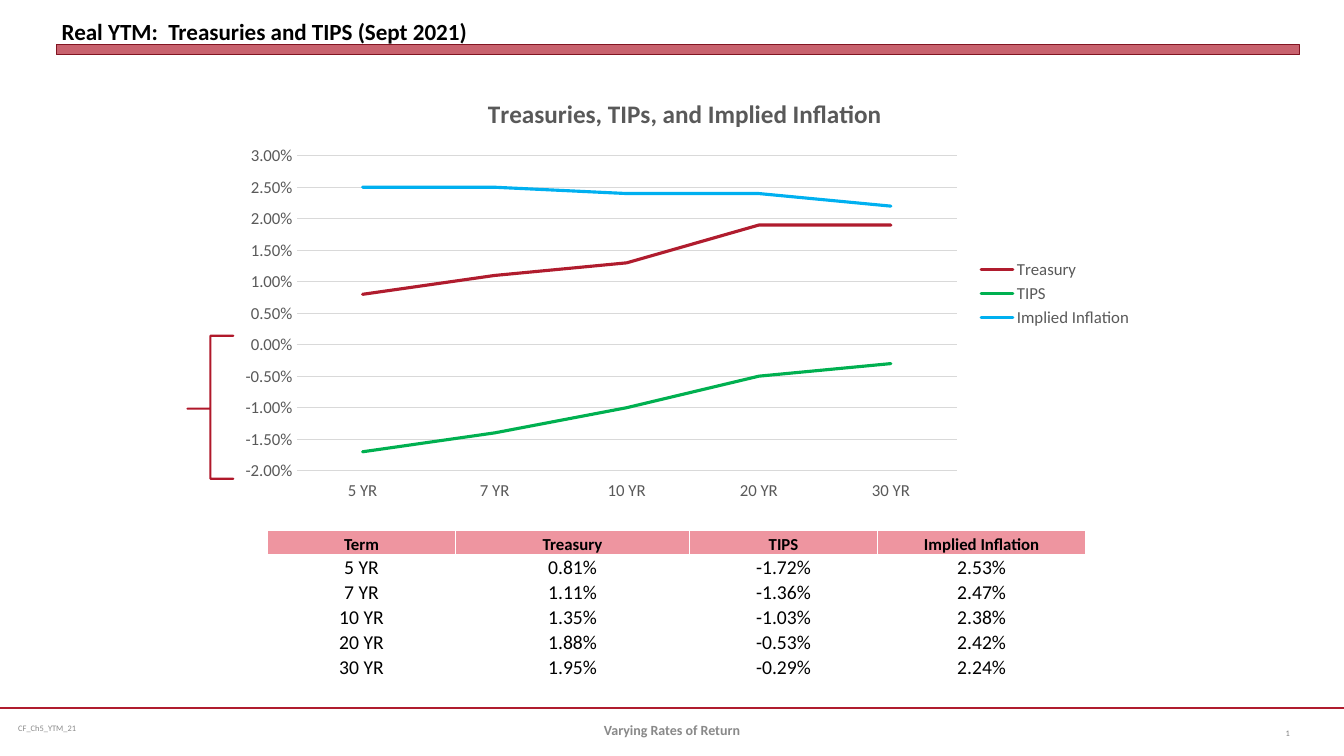
from lxml import etree
from pptx import Presentation
from pptx.chart.data import CategoryChartData
from pptx.dml.color import RGBColor
from pptx.enum.chart import XL_CHART_TYPE, XL_LEGEND_POSITION, XL_TICK_LABEL_POSITION, XL_TICK_MARK
from pptx.enum.shapes import MSO_CONNECTOR, MSO_SHAPE
from pptx.enum.text import MSO_ANCHOR, PP_ALIGN
from pptx.oxml import parse_xml
from pptx.oxml.ns import nsdecls, qn
from pptx.util import Pt

FONT = "Calibri"
BLACK = RGBColor(0x00, 0x00, 0x00)
WHITE = RGBColor(0xFF, 0xFF, 0xFF)
CRIMSON = RGBColor(0xB0, 0x1C, 0x2E)
DARK_RED = RGBColor(0x82, 0x15, 0x22)
BRACE_RED = RGBColor(0xB0, 0x18, 0x2A)
PINK = RGBColor(0xEE, 0x95, 0xA0)
GREEN = RGBColor(0x00, 0xB0, 0x50)
SKY = RGBColor(0x00, 0xB0, 0xF0)
FOOTER_GRAY = RGBColor(0x89, 0x89, 0x89)
NUMBER_GRAY = RGBColor(0x80, 0x80, 0x80)
CHART_GRAY = RGBColor(0x59, 0x59, 0x59)
GRID_GRAY = RGBColor(0xD9, 0xD9, 0xD9)

TERMS = ["5 YR", "7 YR", "10 YR", "20 YR", "30 YR"]
# Line colour and yields by term
YIELDS = {
    "Treasury": (CRIMSON, [0.0081, 0.0111, 0.0135, 0.0188, 0.0195]),
    "TIPS": (GREEN, [-0.0172, -0.0136, -0.0103, -0.0053, -0.0029]),
    "Implied Inflation": (SKY, [0.0253, 0.0247, 0.0238, 0.0242, 0.0224]),
}


def style_font(font, size, color, bold=False):
    font.name, font.size, font.bold = FONT, Pt(size), bold
    font.color.rgb = color


def write(frame, text, size, color=BLACK, bold=False, align=PP_ALIGN.LEFT):
    paragraph = frame.paragraphs[0]
    paragraph.alignment = align
    run = paragraph.add_run()
    run.text = text
    style_font(run.font, size, color, bold)


def add_text(slide, box, text, anchor=MSO_ANCHOR.MIDDLE, margins=(7.2, 3.6, 7.2, 3.6), **style):
    frame = slide.shapes.add_textbox(*map(Pt, box)).text_frame
    frame.word_wrap = True
    frame.vertical_anchor = anchor
    (frame.margin_left, frame.margin_top,
     frame.margin_right, frame.margin_bottom) = map(Pt, margins)
    write(frame, text, **style)


def add_header(slide, left, top, width, height):
    # Translucent bar under the title
    bar = slide.shapes.add_shape(MSO_SHAPE.RECTANGLE, Pt(left), Pt(top + height), Pt(width), Pt(7.2))
    bar.shadow.inherit = False
    bar.fill.solid()
    bar.fill.fore_color.rgb = CRIMSON
    tint = bar.fill._xPr.find(qn("a:solidFill"))[0]
    etree.SubElement(tint, qn("a:alpha"), val="69000")
    bar.line.color.rgb = DARK_RED
    bar.line.width = Pt(0)
    add_text(slide, (left, top, width, height), "Real YTM:  Treasuries and TIPS (Sept 2021)",
             anchor=MSO_ANCHOR.BOTTOM, margins=(3.75, 0, 0, 0), size=16.5, bold=True)


def set_layout(element, chart_size, inner=False, **lengths):
    """Pin a chart part at lengths in points, inside a chart of the given size."""
    for old in element.findall(qn("c:layout")):
        element.remove(old)
    width, height = chart_size
    target = '<c:layoutTarget val="inner"/>' if inner else ""
    modes = "".join(f'<c:{axis}Mode val="edge"/>' for axis in "xy")
    values = "".join(f'<c:{key} val="{length / (width if key in "xw" else height)}"/>'
                     for key, length in lengths.items())
    layout = parse_xml(f'<c:layout {nsdecls("c")}><c:manualLayout>{target}{modes}{values}'
                       '</c:manualLayout></c:layout>')
    text = element.find(qn("c:tx"))
    element.insert(0 if text is None else 1, layout)


def add_yield_chart(slide, left, top, width, height):
    data = CategoryChartData(number_format="0.00%")
    data.categories = TERMS
    for name, (_, yields) in YIELDS.items():
        data.add_series(name, [round(value, 3) for value in yields])
    chart = slide.shapes.add_chart(XL_CHART_TYPE.LINE, Pt(left), Pt(top), Pt(width), Pt(height), data).chart
    style_font(chart.font, 12, CHART_GRAY)

    # Title and plot area
    chart.has_title = True
    write(chart.chart_title.text_frame, "Treasuries, TIPs, and Implied Inflation",
          size=18, color=CHART_GRAY, bold=True, align=PP_ALIGN.CENTER)
    chart.chart_title.include_in_layout = False
    set_layout(chart.chart_title._element, (width, height), x=183.3, y=10.4)
    set_layout(chart._chartSpace.chart.plotArea, (width, height), inner=True,
               x=49.8, y=55.9, w=471.8, h=225)

    # Legend
    chart.has_legend = True
    chart.legend.position = XL_LEGEND_POSITION.RIGHT
    chart.legend.include_in_layout = False
    style_font(chart.legend.font, 12, CHART_GRAY)

    # Axes
    terms, rates = chart.category_axis, chart.value_axis
    for axis in (terms, rates):
        axis.major_tick_mark = axis.minor_tick_mark = XL_TICK_MARK.NONE
        style_font(axis.tick_labels.font, 12, CHART_GRAY)
    terms.tick_label_position = XL_TICK_LABEL_POSITION.LOW
    rates.minimum_scale, rates.maximum_scale, rates.major_unit = -0.02, 0.03, 0.005
    rates.tick_labels.number_format = "0.00%"
    rates.tick_labels.number_format_is_linked = False
    rates.format.line.fill.background()
    for line in (terms.format.line, rates.major_gridlines.format.line):
        line.color.rgb = GRID_GRAY
        line.width = Pt(0.75)

    # Series
    chart.plots[0].vary_by_categories = False
    for series, (color, _) in zip(chart.plots[0].series, YIELDS.values()):
        series.smooth = False
        series.format.line.color.rgb = color
        series.format.line.width = Pt(2.25)
        series.format.line._get_or_add_ln().set("cap", "rnd")


def add_negative_brace(slide, left, top, width, height):
    brace = slide.shapes.add_shape(MSO_SHAPE.LEFT_BRACE, Pt(left), Pt(top), Pt(width), Pt(height))
    brace.shadow.inherit = False
    brace.adjustments[0], brace.adjustments[1] = 0, 0.51
    brace.fill.background()
    brace.line.color.rgb = BRACE_RED
    brace.line.width = Pt(1.5)
    brace.line._get_or_add_ln().set("cap", "rnd")


def fill_cell(cell, text, fill, **style):
    cell.margin_left = cell.margin_right = cell.margin_top = Pt(0.7)
    cell.margin_bottom = 0
    cell.vertical_anchor = MSO_ANCHOR.BOTTOM
    for side in "LRTB":
        cell._tc.get_or_add_tcPr().append(parse_xml(
            f'<a:ln{side} {nsdecls("a")} w="{Pt(1)}"><a:solidFill><a:srgbClr val="{WHITE}"/>'
            f'</a:solidFill></a:ln{side}>'))
    cell.fill.solid()
    cell.fill.fore_color.rgb = fill
    write(cell.text_frame, text, align=PP_ALIGN.CENTER, **style)


def add_yield_table(slide, left, top, column_widths, header_height, row_height):
    columns = [yields for _, yields in YIELDS.values()]
    rows = [["Term", *YIELDS]]
    rows += [[term, *(f"{value:.2%}" for value in values)] for term, *values in zip(TERMS, *columns)]
    heights = [header_height] + [row_height] * len(TERMS)
    table = slide.shapes.add_table(len(rows), len(column_widths), Pt(left), Pt(top),
                                   Pt(sum(column_widths)), Pt(sum(heights))).table
    table.horz_banding = False
    for column, width in zip(table.columns, column_widths):
        column.width = Pt(width)
    for r, (texts, height) in enumerate(zip(rows, heights)):
        table.rows[r].height = Pt(height)
        look = dict(fill=WHITE, size=14) if r else dict(fill=PINK, size=12, bold=True)
        for c, text in enumerate(texts):
            fill_cell(table.cell(r, c), text, **look)


def add_footer(slide, left, top, width, height):
    rule = slide.shapes.add_connector(MSO_CONNECTOR.STRAIGHT, Pt(left), Pt(top), Pt(left + width), Pt(top))
    rule.line.color.rgb = CRIMSON
    rule.line.width = Pt(1.25)
    etree.SubElement(rule._element.spPr, qn("a:effectLst"))
    add_text(slide, (left + 8, top, 248, height), "CF_Ch5_YTM_21",
             margins=(5, 3, 5, 3), size=6, color=FOOTER_GRAY)
    add_text(slide, (left + width / 2 - 152, top + 1.5, 304, height), "Varying Rates of Return",
             size=10, color=FOOTER_GRAY, bold=True, align=PP_ALIGN.CENTER)
    add_text(slide, (left + width - 79.5, top + 4, 48, height), "1",
             size=6, color=NUMBER_GRAY, align=PP_ALIGN.RIGHT)


def main():
    deck = Presentation()
    deck.slide_width, deck.slide_height = Pt(960), Pt(540)
    slide = deck.slides.add_slide(deck.slide_layouts[6])
    add_header(slide, 40.3, 3.6, 888, 28.4)
    add_yield_table(slide, 191, 379.2, [134.5, 167, 134.5, 148.5], 17.3, 17.8)
    add_yield_chart(slide, 162, 55.4, 654.5, 308.9)
    add_negative_brace(slide, 133.9, 239.8, 32.8, 102.2)
    add_footer(slide, 0, 505.5, 960, 28.8)
    deck.save("out.pptx")


if __name__ == "__main__":
    main()
